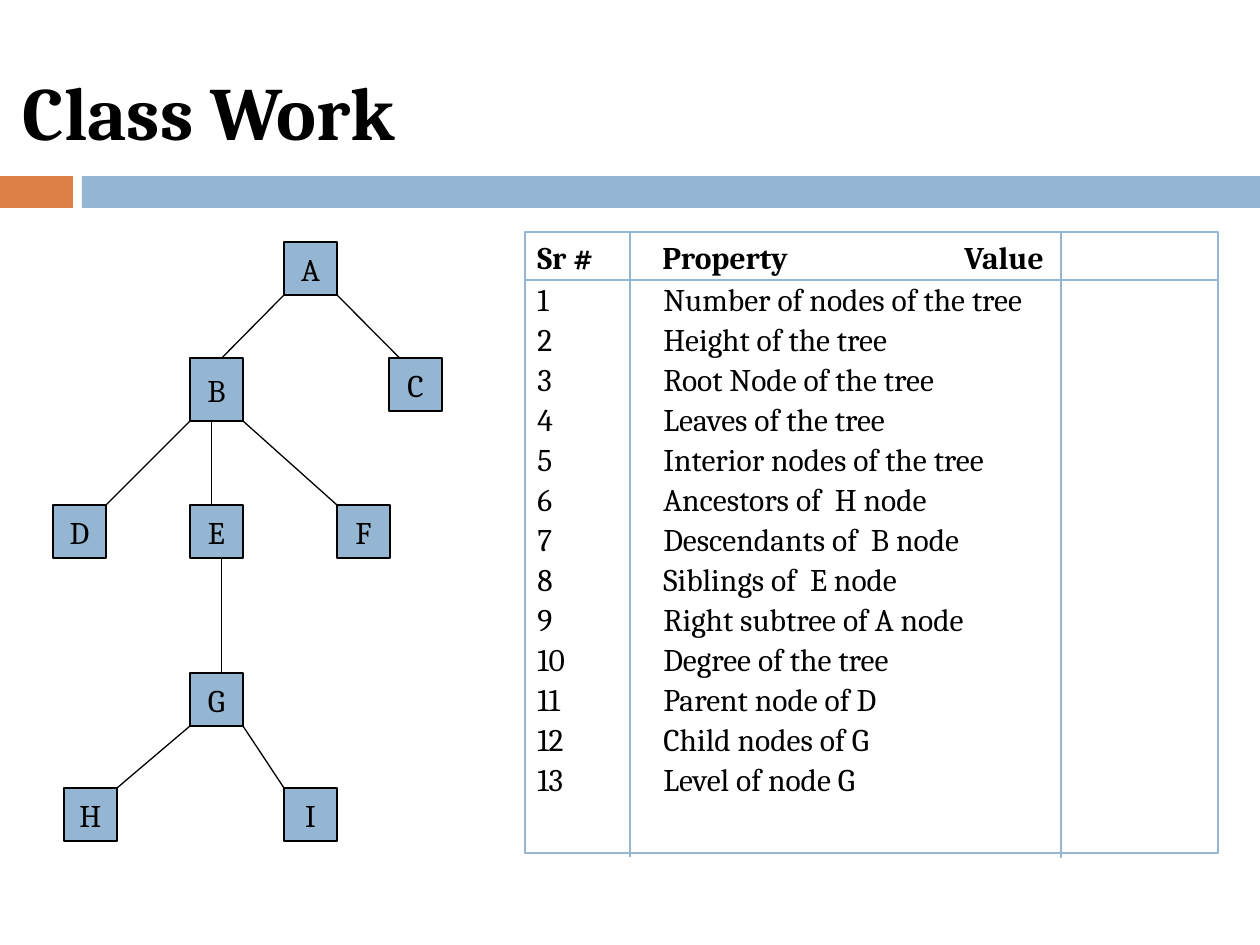
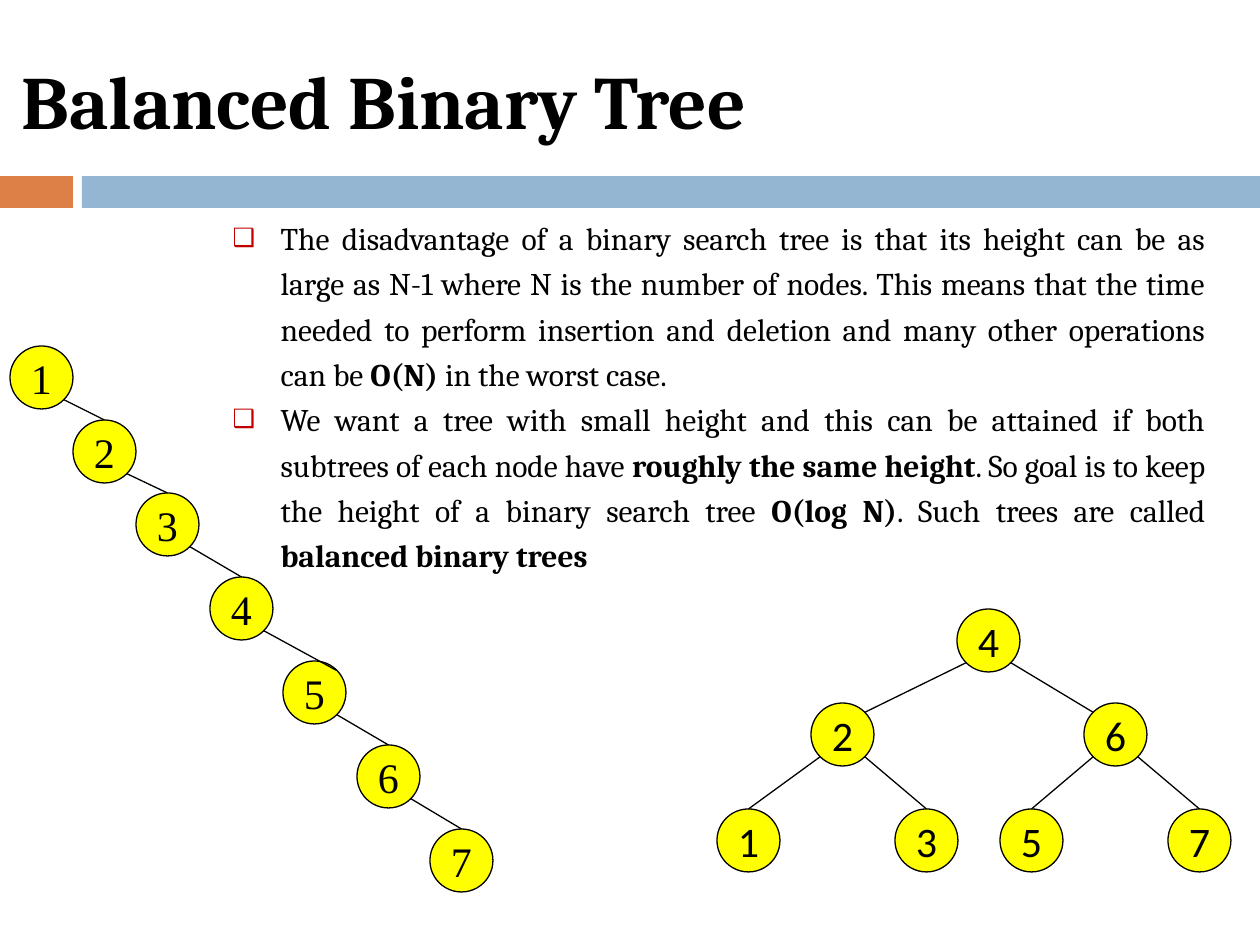
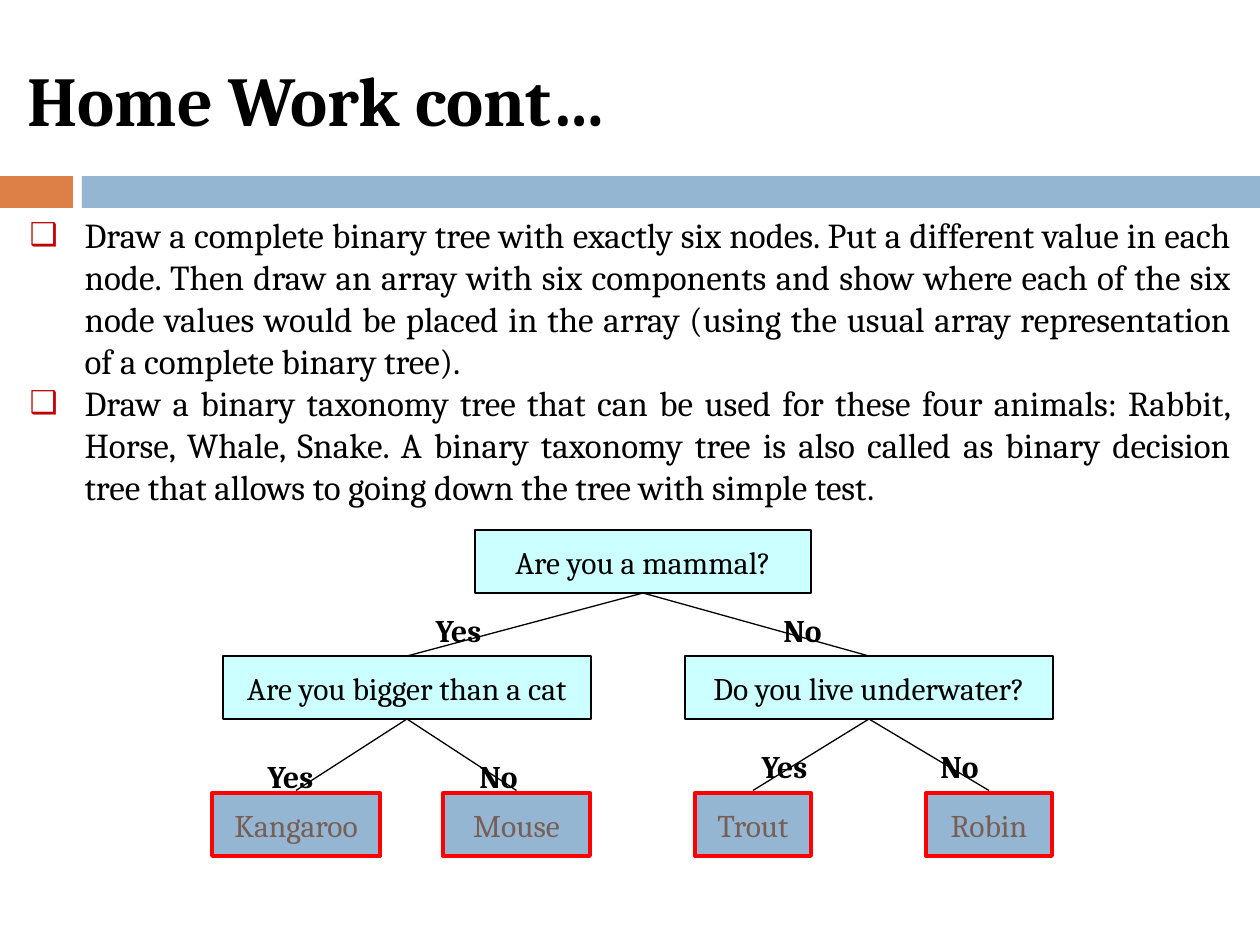
from dataclasses import dataclass

from lxml import etree
from pptx import Presentation
from pptx.dml.color import RGBColor
from pptx.enum.shapes import MSO_CONNECTOR, MSO_SHAPE
from pptx.enum.text import MSO_ANCHOR, MSO_AUTO_SIZE, PP_ALIGN
from pptx.oxml.ns import qn
from pptx.util import Pt

EMU_PER_PX = 914400 / 126
RECTANGLE, OVAL = MSO_SHAPE.RECTANGLE, MSO_SHAPE.OVAL
STRAIGHT = MSO_CONNECTOR.STRAIGHT
LEFT, CENTER, JUSTIFY = PP_ALIGN.LEFT, PP_ALIGN.CENTER, PP_ALIGN.JUSTIFY
TOP, MIDDLE = MSO_ANCHOR.TOP, MSO_ANCHOR.MIDDLE
NO_AUTOFIT = MSO_AUTO_SIZE.NONE

SERIF = "Cambria"
BLACK, BLUE, ORANGE, BROWN = "000000", "94B6D2", "DD8047", "775F55"
YELLOW, CYAN, RED, BULLET_RED = "FFFF00", "CCFFFF", "FF0000", "C00000"

TOP_MIDDLE, BOTTOM_MIDDLE = (0.5, 0), (0.5, 1)
TOP_LEFT, TOP_RIGHT = (0, 0), (1, 0)
BOTTOM_LEFT, BOTTOM_RIGHT = (0, 1), (1, 1)
RIM_TOP_LEFT, RIM_TOP_RIGHT = (0.15, 0.15), (0.85, 0.15)
RIM_BOTTOM_LEFT, RIM_BOTTOM_RIGHT = (0.15, 0.85), (0.85, 0.85)
ABOVE_BORDER = (0.5, -0.04)

PROPERTIES = [
    "Number of nodes of the tree",
    "Height of the tree",
    "Root Node of the tree",
    "Leaves of the tree",
    "Interior nodes of the tree",
    "Ancestors of  H node",
    "Descendants of  B node",
    "Siblings of  E node",
    "Right subtree of A node",
    "Degree of the tree",
    "Parent node of D",
    "Child nodes of G",
    "Level of node G",
]

BALANCE_POINTS = [
    [
        ("The disadvantage of a binary search tree is that its height can be as large as N-1 "
         "where N is the number of nodes. This means that the time needed to perform insertion "
         "and deletion and many other operations can be ", False),
        ("O(N)", True),
        (" in the worst case.", False),
    ],
    [
        ("We want a tree with small height and this can be attained if both subtrees of each "
         "node have ", False),
        ("roughly the same height", True),
        (". So goal is to keep the height of a binary search tree ", False),
        ("O(log N)", True),
        (". Such trees are called ", False),
        ("balanced binary trees", True),
    ],
]

HOMEWORK_POINTS = [
    [("Draw a complete binary tree with exactly six nodes. Put a different value in each node. "
      "Then draw an array with six components and show where each of the six node values would "
      "be placed in the array (using the usual array representation of a complete binary tree).",
      False)],
    [("Draw a binary taxonomy tree that can be used for these four animals: Rabbit, Horse, "
      "Whale, Snake. A binary taxonomy tree is also called as binary decision tree that allows "
      "to going down the tree with simple test.", False)],
]


@dataclass
class NodeStyle:
    """Look of one kind of tree node."""
    kind: int
    fill: str
    size: int = 18
    font: str = SERIF
    ink: str = BLACK
    line: str = BLACK
    weight: float = 0.75


def px(length):
    """Turn px into EMU."""
    return round(length * EMU_PER_PX)


def color(code):
    """Turn a hex string into a colour."""
    return RGBColor.from_string(code)


def format_runs(para, size, font=SERIF, ink=BLACK, bold=False):
    """Give every run of a paragraph the same font."""
    for span in para.runs:
        span.font.size = Pt(size)
        span.font.name = font
        span.font.bold = bold
        span.font.color.rgb = color(ink)


def place(box, left, top, width, height):
    """Move and size a placeholder."""
    box.left, box.top, box.width, box.height = map(px, (left, top, width, height))


def add_box(page, kind, spot, fill=None, line=None, weight=0.75):
    """Add a preset shape without shadow."""
    box = page.shapes.add_shape(kind, *map(px, spot))
    box.shadow.inherit = False
    if fill:
        box.fill.solid()
        box.fill.fore_color.rgb = color(fill)
    else:
        box.fill.background()
    if line:
        box.line.color.rgb = color(line)
        box.line.width = Pt(weight)
    else:
        box.line.fill.background()
    return box


def add_line(page, start, end, ink=BLACK, weight=0.75):
    """Add a straight line between two points in EMU."""
    line = page.shapes.add_connector(STRAIGHT, *start, *end)
    line.line.color.rgb = color(ink)
    line.line.width = Pt(weight)
    etree.SubElement(line.element.spPr, qn("a:effectLst"))


def add_nodes(page, style, spots):
    """Add labelled nodes and return them by label."""
    nodes = {}
    for label, spot in spots.items():
        node = add_box(page, style.kind, spot, style.fill, style.line, style.weight)
        frame = node.text_frame
        frame.text = label
        frame.word_wrap = False
        frame.vertical_anchor = MIDDLE
        frame.paragraphs[0].alignment = CENTER
        format_runs(frame.paragraphs[0], style.size, style.font, style.ink)
        nodes[label] = node
    return nodes


def point_on(node, anchor):
    """Find a point given as fractions of a node's width and height."""
    across, down = anchor
    return round(node.left + across * node.width), round(node.top + down * node.height)


def link_nodes(page, nodes, links):
    """Join parents to children at the named anchors."""
    for parent, start, child, end in links:
        add_line(page, point_on(nodes[parent], start), point_on(nodes[child], end))


def add_branch_label(page, text, left, top):
    """Add a bold answer beside a branch."""
    box = page.shapes.add_textbox(px(left), px(top), px(73 if text == "Yes" else 67), px(50))
    frame = box.text_frame
    frame.text = text
    frame.word_wrap = False
    frame.paragraphs[0].alignment = CENTER
    format_runs(frame.paragraphs[0], 18, bold=True)


def add_page(deck, layout, title, left, top, size):
    """Add a slide with a formatted title."""
    page = deck.slides.add_slide(deck.slide_layouts[layout])
    place(page.shapes.title, left, top, 1124, 136)
    frame = page.shapes.title.text_frame
    frame.text = title
    frame.auto_size = NO_AUTOFIT
    frame.vertical_anchor = MIDDLE
    frame.paragraphs[0].alignment = LEFT
    format_runs(frame.paragraphs[0], size, bold=True)
    return page


def add_bands(deck, page):
    """Draw the two bands and move them to the slide master."""
    tree = deck.slide_master.element.cSld.spTree
    for left, width, fill in ((0, 73, ORANGE), (82, 1178, BLUE)):
        band = add_box(page, RECTANGLE, (left, 176, width, 32), fill)
        tree.insert(2, band.element)


def set_bullet(para, margin, hanging, percent):
    """Give a paragraph a red box bullet and a hanging indent."""
    props = para._p.get_or_add_pPr()
    props.set("marL", str(px(margin)))
    props.set("indent", str(-px(hanging)))
    tint = etree.SubElement(props, qn("a:buClr"))
    etree.SubElement(tint, qn("a:srgbClr"), val=BULLET_RED)
    etree.SubElement(props, qn("a:buSzPct"), val=str(percent * 1000))
    etree.SubElement(props, qn("a:buChar"), char="❑")


def set_tabs(para, stops):
    """Set left tab stops."""
    tabs = etree.SubElement(para._p.get_or_add_pPr(), qn("a:tabLst"))
    for stop in stops:
        etree.SubElement(tabs, qn("a:tab"), pos=str(px(stop)), algn="l")


def fill_list(page, spot, points, size, spacing, margin, hanging, percent):
    """Fill the body placeholder with justified bullets."""
    body = page.placeholders[1]
    place(body, *spot)
    frame = body.text_frame
    frame.auto_size = NO_AUTOFIT
    frame.vertical_anchor = TOP
    for index, spans in enumerate(points):
        para = frame.add_paragraph() if index else frame.paragraphs[0]
        para.alignment = JUSTIFY
        para.line_spacing = spacing
        para.space_before = Pt(0)
        set_bullet(para, margin, hanging, percent)
        for text, bold in spans:
            para.add_run().text = text
        format_runs(para, size)
        for span, (_, bold) in zip(para.runs, spans):
            span.font.bold = bold


def add_property_grid(page):
    """Add the ruled box of tree properties."""
    box = add_box(page, RECTANGLE, (525, 232, 693, 621), line=BLUE)
    frame = box.text_frame
    frame.word_wrap = True
    frame.vertical_anchor = TOP
    rows = ["Sr #\tProperty\tValue"]
    rows += [f"{number}\t{name}" for number, name in enumerate(PROPERTIES, 1)]
    for index, row in enumerate(rows):
        para = frame.add_paragraph() if index else frame.paragraphs[0]
        para.text = row
        para.alignment = LEFT
        if index:
            para.line_spacing = 0.6
            para.space_before = Pt(9.9)
        set_tabs(para, (126,) if index else (125, 427))
        format_runs(para, 18, bold=index == 0)
    for left, top, right, bottom in ((525, 280, 1218, 280), (630, 232, 630, 857),
                                     (1061, 233, 1061, 858)):
        add_line(page, (px(left), px(top)), (px(right), px(bottom)), BLUE, 0.8)


def build_class_work(deck):
    """Build the slide with a general tree and its properties."""
    page = add_page(deck, 5, "Class Work", 10, 42, 43)
    add_bands(deck, page)
    corners = {"A": (284, 242), "C": (389, 358), "D": (53, 505), "E": (190, 505),
               "F": (337, 505), "G": (190, 673), "H": (64, 788), "I": (284, 788)}
    spots = {label: (*corner, 53, 53) for label, corner in corners.items()}
    spots["B"] = (190, 358, 53, 63)
    nodes = add_nodes(page, NodeStyle(RECTANGLE, BLUE), spots)
    link_nodes(page, nodes, [
        ("A", BOTTOM_LEFT, "B", (0.6, 0)),
        ("A", BOTTOM_RIGHT, "C", (0.2, 0)),
        ("B", BOTTOM_LEFT, "D", TOP_RIGHT),
        ("B", (0.4, 1), "E", (0.4, 0)),
        ("B", BOTTOM_RIGHT, "F", TOP_LEFT),
        ("E", (0.6, 1), "G", (0.6, 0)),
        ("G", BOTTOM_LEFT, "H", TOP_RIGHT),
        ("G", BOTTOM_RIGHT, "I", TOP_LEFT),
    ])
    add_property_grid(page)


def add_circle_tree(page, font, corners, links):
    """Add a tree of yellow circles."""
    spots = {label: (*corner, 63, 63) for label, corner in corners.items()}
    nodes = add_nodes(page, NodeStyle(OVAL, YELLOW, 24, font), spots)
    link_nodes(page, nodes, links)


def build_balanced_tree(deck):
    """Build the slide that sets a chain beside a balanced tree."""
    page = add_page(deck, 1, "Balanced Binary Tree", 9, 31, 43)
    fill_list(page, (220, 205, 998, 379), BALANCE_POINTS, 18, 1.2, 48, 48, 80)
    add_circle_tree(page, "Calibri", {
        "4": (957, 609), "2": (811, 703), "6": (1084, 703), "1": (717, 809),
        "3": (895, 809), "5": (1000, 809), "7": (1168, 809),
    }, [
        ("4", RIM_BOTTOM_LEFT, "2", RIM_TOP_RIGHT),
        ("4", RIM_BOTTOM_RIGHT, "6", RIM_TOP_LEFT),
        ("2", RIM_BOTTOM_LEFT, "1", TOP_MIDDLE),
        ("2", RIM_BOTTOM_RIGHT, "3", TOP_MIDDLE),
        ("6", RIM_BOTTOM_LEFT, "5", TOP_MIDDLE),
        ("6", RIM_BOTTOM_RIGHT, "7", TOP_MIDDLE),
    ])
    chain = {"1": (10, 346), "2": (73, 420), "3": (136, 493), "4": (210, 577),
             "5": (283, 661), "6": (357, 745), "7": (430, 829)}
    labels = list(chain)
    add_circle_tree(page, "Times New Roman", chain, [
        (parent, RIM_BOTTOM_RIGHT, child, RIM_TOP_RIGHT if child == "5" else TOP_MIDDLE)
        for parent, child in zip(labels, labels[1:])
    ])


def build_home_work(deck):
    """Build the slide with the exercises and a decision tree."""
    page = add_page(deck, 1, "Home Work cont…", 15, 31, 40)
    fill_list(page, (9, 207, 1235, 394), HOMEWORK_POINTS, 20, 1.0, 63, 55, 90)
    mammal, bigger, underwater = ("Are you a mammal?", "Are you bigger than a cat",
                                  "Do you live underwater?")
    nodes = add_nodes(page, NodeStyle(RECTANGLE, CYAN), {
        mammal: (475, 530, 336, 63),
        bigger: (223, 656, 368, 63),
        underwater: (685, 656, 368, 63),
    })
    animal_style = NodeStyle(RECTANGLE, BLUE, ink=BROWN, line=RED, weight=2.25)
    nodes |= add_nodes(page, animal_style, {
        "Kangaroo": (212, 793, 168, 63),
        "Mouse": (443, 793, 147, 63),
        "Trout": (695, 793, 116, 63),
        "Robin": (926, 793, 126, 63),
    })
    branches = [(mammal, bigger, TOP_MIDDLE), (mammal, underwater, TOP_MIDDLE),
                (bigger, "Kangaroo", ABOVE_BORDER), (bigger, "Mouse", ABOVE_BORDER),
                (underwater, "Trout", ABOVE_BORDER), (underwater, "Robin", ABOVE_BORDER)]
    link_nodes(page, nodes, [(parent, BOTTOM_MIDDLE, child, end)
                             for parent, child, end in branches])
    for text, left, top in (("Yes", 422, 605), ("No", 769, 605), ("Yes", 254, 751),
                            ("No", 465, 751), ("Yes", 748, 741), ("No", 926, 741)):
        add_branch_label(page, text, left, top)


def main():
    """Build and save the deck."""
    deck = Presentation()
    deck.slide_width, deck.slide_height = px(1260), px(945)
    build_class_work(deck)
    build_balanced_tree(deck)
    build_home_work(deck)
    deck.save("out.pptx")


if __name__ == "__main__":
    main()
